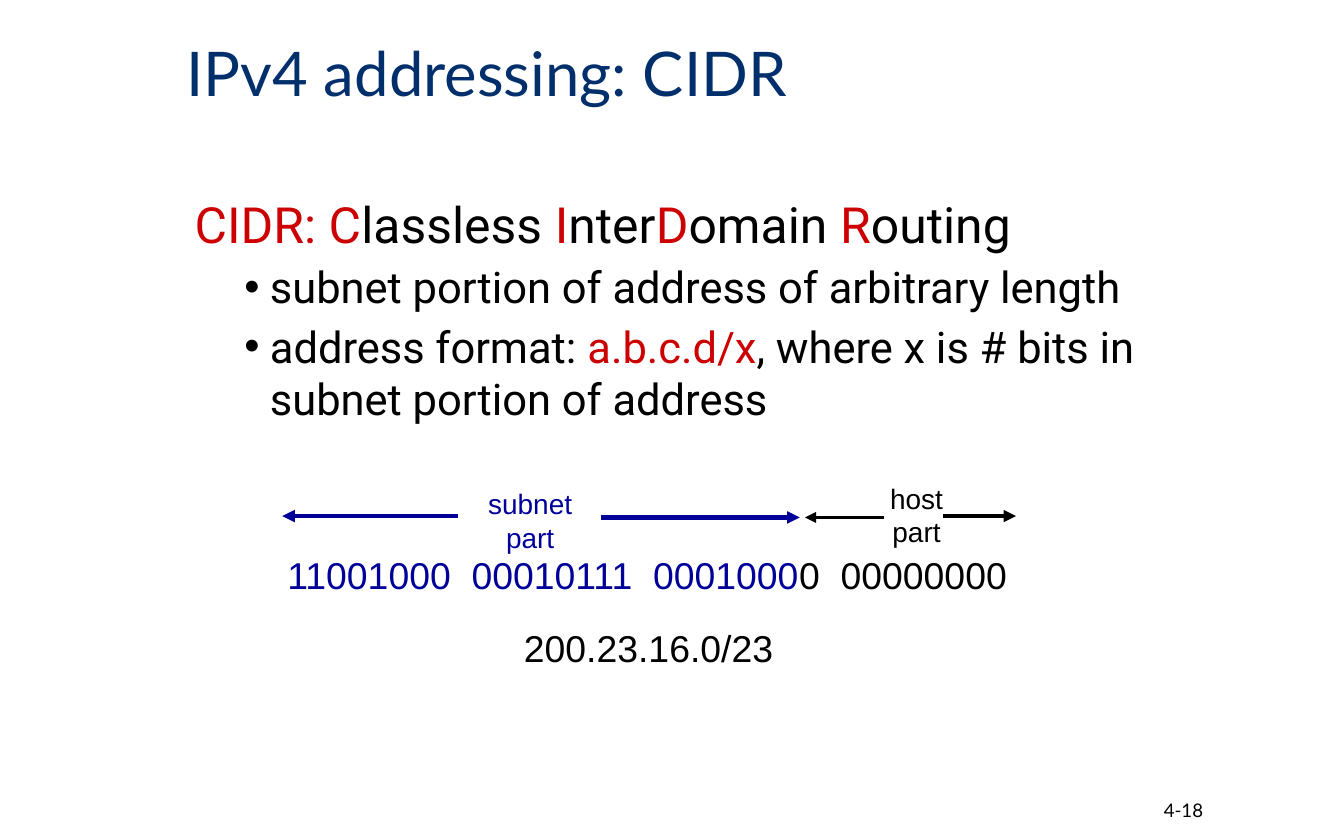
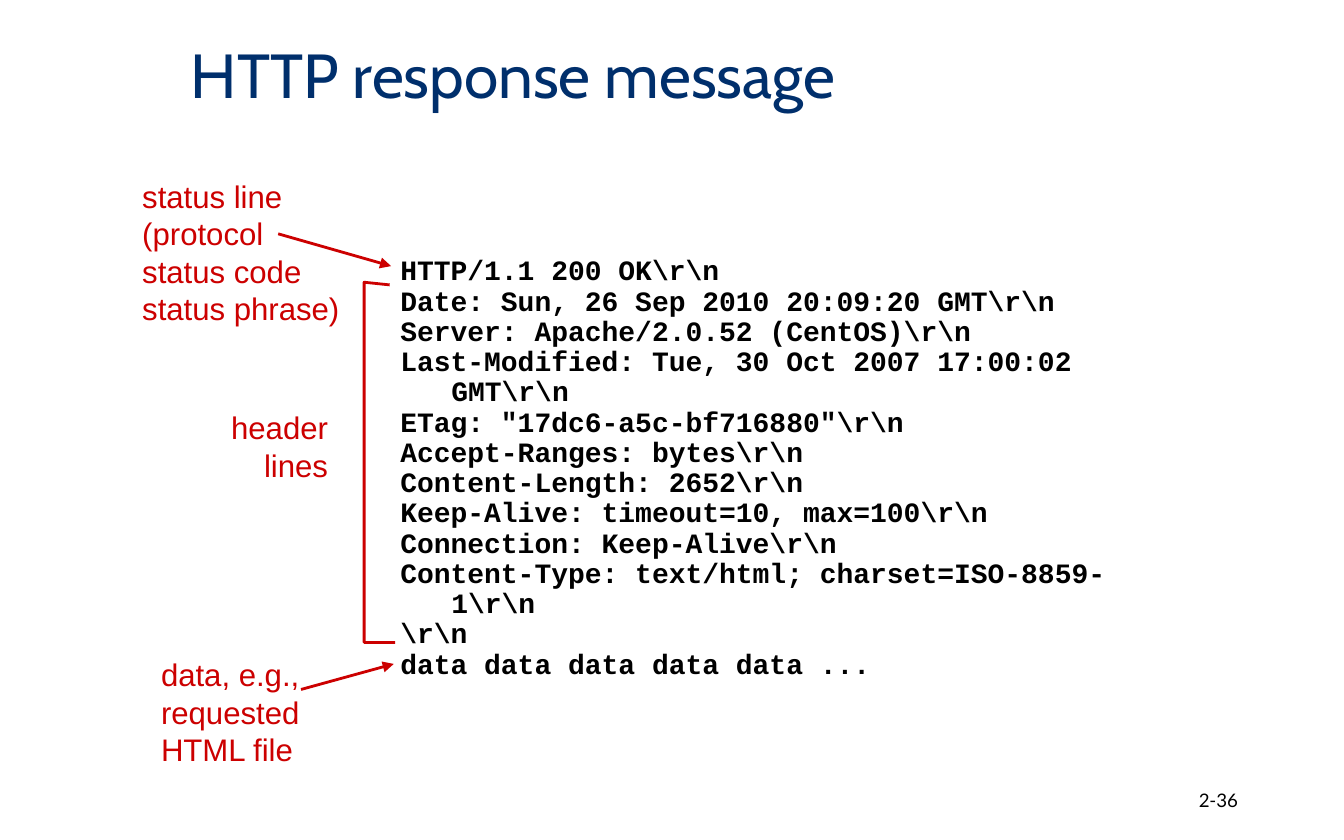
"""Build two networking slides: CIDR addressing and the HTTP response message."""
from dataclasses import dataclass

from lxml import etree
from pptx import Presentation
from pptx.dml.color import RGBColor
from pptx.enum.shapes import MSO_CONNECTOR
from pptx.enum.text import MSO_ANCHOR, MSO_AUTO_SIZE, PP_ALIGN
from pptx.oxml.ns import qn
from pptx.util import Inches, Pt

LEFT, CENTER, RIGHT = PP_ALIGN.LEFT, PP_ALIGN.CENTER, PP_ALIGN.RIGHT
TOP, MIDDLE = MSO_ANCHOR.TOP, MSO_ANCHOR.MIDDLE
FIT_SHAPE, NO_FIT = MSO_AUTO_SIZE.SHAPE_TO_FIT_TEXT, MSO_AUTO_SIZE.NONE
STRAIGHT = MSO_CONNECTOR.STRAIGHT

COLOURS = {
    "title": "002F6C",
    "text": "000000",
    "accent": "CC0000",
    "subnet": "000099",
}
BODY_FONT, LABEL_FONT, CODE_FONT, NUMBER_FONT = "Roboto", "Arial", "Courier New", "Lato"


@dataclass(frozen=True)
class Span:
    text: str
    colour: str = "text"


@dataclass(frozen=True)
class Para:
    spans: tuple[Span, ...]
    size: float
    margin: float = 0
    hanging: float = 0
    before: float = 0
    bullet: str = ""


@dataclass(frozen=True)
class Label:
    area: tuple[float, float, float, float]
    lines: tuple[str, ...]
    size: float
    colour: str
    align: PP_ALIGN = LEFT


@dataclass(frozen=True)
class Arrow:
    start: tuple[float, float]
    end: tuple[float, float]
    colour: str
    width: float


CIDR_BODY = (
    Para((Span("CIDR: C", "accent"), Span("lassless "), Span("I", "accent"),
          Span("nter"), Span("D", "accent"), Span("omain "),
          Span("R", "accent"), Span("outing")), 26.7, 0.19, 0.19),
    Para((Span("subnet portion of address of arbitrary length"),),
         23.3, 0.56, 0.19, 3.8, "•"),
    Para((Span("address format: "), Span("a.b.c.d/x", "accent"),
          Span(", where x is # bits in subnet portion of address")),
         23.3, 0.56, 0.19, 3.8, "•"),
)
ADDRESS_BITS = (
    Para((Span("11001000  00010111  0001000", "subnet"), Span("0  00000000")), 20),
)
CIDR_LABELS = (
    Label((3.53, 3.57, 0.83, 0.61), ("subnet", "part"), 15, "subnet", CENTER),
    Label((6.52, 3.53, 0.6, 0.61), ("host", "part"), 15, "text", CENTER),
    Label((3.8, 4.6, 2.07, 0.44), ("200.23.16.0/23",), 20, "text"),
)
CIDR_ARROWS = (
    Arrow((4.47, 3.85), (5.95, 3.85), "subnet", 2.25),
    Arrow((7.02, 3.84), (7.56, 3.84), "text", 2.25),
    Arrow((3.41, 3.84), (2.1, 3.84), "subnet", 2.25),
    Arrow((6.58, 3.85), (5.99, 3.85), "text", 1.5),
)
RESPONSE_LABELS = (
    Label((0.96, 1.27, 1.68, 1.22),
          ("status line", "(protocol", "status code", "status phrase)"), 16.7, "accent"),
    Label((1.61, 2.99, 0.93, 0.66), ("header", "lines"), 16.7, "accent", RIGHT),
    Label((1.1, 4.83, 1.3, 0.94),
          ("data, e.g.,", "requested", "HTML file"), 16.7, "accent"),
)
RESPONSE_ARROWS = (
    Arrow((2.07, 1.74), (2.91, 1.98), "accent", 1.5),
    Arrow((2.24, 5.13), (2.93, 4.94), "accent", 1.5),
)
HEADER_BRACKET = ((2.9, 2.12), (2.71, 2.1), (2.71, 4.78), (2.94, 4.78))
RESPONSE = r"""HTTP/1.1 200 OK\r\n
Date: Sun, 26 Sep 2010 20:09:20 GMT\r\n
Server: Apache/2.0.52 (CentOS)\r\n
Last-Modified: Tue, 30 Oct 2007 17:00:02 GMT\r\n
ETag: "17dc6-a5c-bf716880"\r\n
Accept-Ranges: bytes\r\n
Content-Length: 2652\r\n
Keep-Alive: timeout=10, max=100\r\n
Connection: Keep-Alive\r\n
Content-Type: text/html; charset=ISO-8859-1\r\n
\r\n
data data data data data ..."""


def colour_of(name: str) -> RGBColor:
    """Return the named palette colour."""
    return RGBColor.from_string(COLOURS[name])


def add_text(page, area, paras, *, font, align=LEFT, anchor=TOP, wrap=True,
             bold=False, spacing=1.0, fit=False):
    """Add a text box holding the given paragraphs."""
    box = page.shapes.add_textbox(*map(Inches, area))
    frame = box.text_frame
    frame.word_wrap = wrap
    frame.auto_size = FIT_SHAPE if fit else NO_FIT
    frame.vertical_anchor = anchor
    for index, para in enumerate(paras):
        paragraph = frame.add_paragraph() if index else frame.paragraphs[0]
        properties = paragraph._p.get_or_add_pPr()
        if para.margin:
            properties.set("marL", str(Inches(para.margin)))
            properties.set("indent", str(-Inches(para.hanging)))
        if para.bullet:
            etree.SubElement(properties, qn("a:buFont")).set("typeface", "Arial")
            etree.SubElement(properties, qn("a:buChar")).set("char", para.bullet)
        paragraph.alignment = align
        paragraph.line_spacing = spacing
        if para.before:
            paragraph.space_before = Pt(para.before)
        for span in para.spans:
            run = paragraph.add_run()
            run.text = span.text
            run.font.name = font
            run.font.size = Pt(para.size)
            run.font.bold = bold
            run.font.color.rgb = colour_of(span.colour)
    return box


def add_title(page, text: str, area, font: str, size: float) -> None:
    """Add the slide title."""
    add_text(page, area, [Para((Span(text, "title"),), size)],
             font=font, anchor=MIDDLE, spacing=0.9)


def add_number(page, text: str, area) -> None:
    """Add the slide number."""
    add_text(page, area, [Para((Span(text),), 10)],
             font=NUMBER_FONT, align=RIGHT, anchor=MIDDLE)


def add_label(page, label: Label) -> None:
    """Add a short label with one paragraph per line."""
    paras = [Para((Span(line, label.colour),), label.size) for line in label.lines]
    add_text(page, label.area, paras, font=LABEL_FONT, align=label.align,
             wrap=False, fit=True)


def add_arrow(page, arrow: Arrow) -> None:
    """Add a straight arrow with a triangle at its end."""
    connector = page.shapes.add_connector(
        STRAIGHT, *map(Inches, arrow.start + arrow.end))
    connector.line.color.rgb = colour_of(arrow.colour)
    connector.line.width = Pt(arrow.width)
    outline = connector.line._get_or_add_ln()
    etree.SubElement(outline, qn("a:tailEnd")).set("type", "triangle")
    etree.SubElement(connector._element.spPr, qn("a:effectLst"))


def add_bracket(page, points, colour: str, width: float) -> None:
    """Add an open outline through the points."""
    first, *rest = [tuple(map(Inches, point)) for point in points]
    builder = page.shapes.build_freeform(*first)
    builder.add_line_segments(rest, close=False)
    bracket = builder.convert_to_shape()
    bracket.shadow.inherit = False
    bracket.fill.background()
    bracket.line.color.rgb = colour_of(colour)
    bracket.line.width = Pt(width)


def add_annotations(page, labels, arrows) -> None:
    """Add labels and the arrows that go with them."""
    for label in labels:
        add_label(page, label)
    for arrow in arrows:
        add_arrow(page, arrow)


def build_cidr(page) -> None:
    """Fill the CIDR slide."""
    add_title(page, "IPv4 addressing: CIDR", (1.29, 0.18, 7.08, 0.78), "Lato", 33)
    add_text(page, (1.35, 1.39, 7.39, 2.89), CIDR_BODY, font=BODY_FONT)
    add_text(page, (2.04, 4.06, 5.6, 0.44), ADDRESS_BITS,
             font=LABEL_FONT, wrap=False, fit=True)
    add_annotations(page, CIDR_LABELS, CIDR_ARROWS)
    add_number(page, "4-18", (8.54, 5.9, 0.51, 0.25))


def build_response(page) -> None:
    """Fill the HTTP response slide."""
    add_title(page, "HTTP response message", (1.32, 0.14, 7.08, 0.89), "Cabin", 33.3)
    add_annotations(page, RESPONSE_LABELS, RESPONSE_ARROWS)
    add_bracket(page, HEADER_BRACKET, "accent", 1.5)
    code = [Para((Span(line),), 15, 0.38, 0.38) for line in RESPONSE.splitlines()]
    add_text(page, (2.88, 1.86, 5.75, 3.29), code,
             font=CODE_FONT, bold=True, spacing=0.9, fit=True)
    add_number(page, "2-36", (7.06, 5.79, 2.25, 0.33))


def main() -> None:
    """Build and save the deck."""
    deck = Presentation()
    deck.slide_width, deck.slide_height = Inches(10), Inches(6.25)
    blank = deck.slide_layouts[6]
    for build in (build_cidr, build_response):
        build(deck.slides.add_slide(blank))
    deck.save("out.pptx")


if __name__ == "__main__":
    main()
